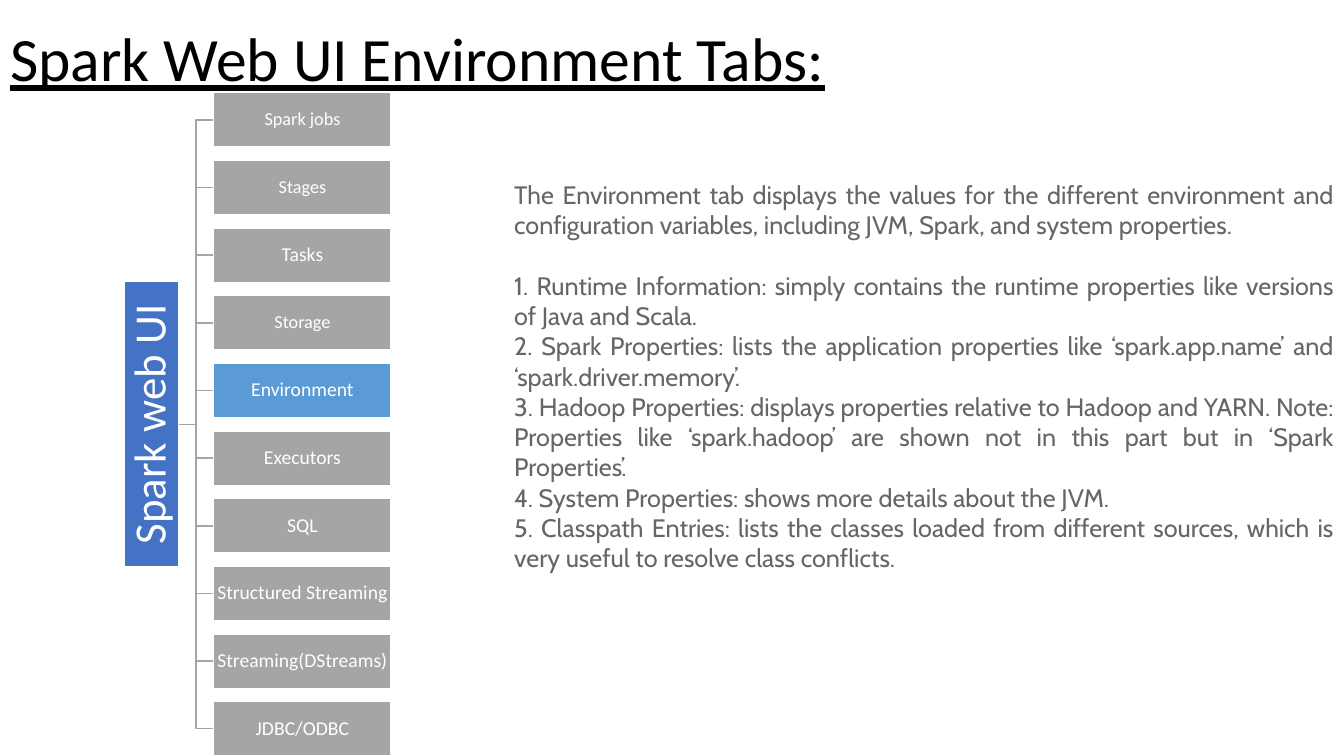
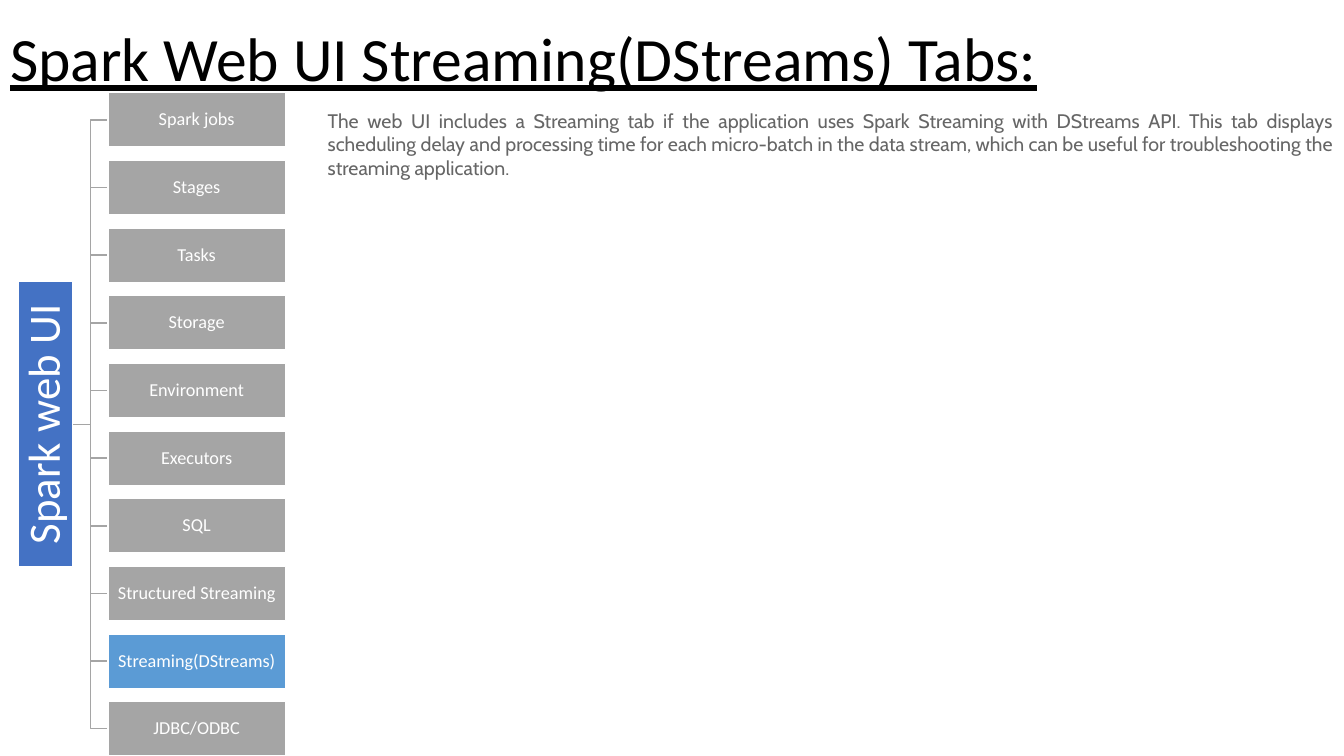
from lxml import etree
from pptx import Presentation
from pptx.dml.color import RGBColor
from pptx.enum.shapes import MSO_CONNECTOR as CONNECTOR, MSO_SHAPE as SHAPE
from pptx.enum.text import MSO_ANCHOR as ANCHOR, MSO_AUTO_SIZE as AUTO_SIZE, PP_ALIGN as ALIGN
from pptx.oxml.ns import qn
from pptx.util import Inches, Pt

# Shared colours and fonts
ROOT_BLUE, TAB_GREY, ACTIVE_BLUE = "4472C4", "A5A5A5", "5B9BD5"
WHITE, BLACK, TEXT_GREY = "FFFFFF", "000000", "666666"
HEADING_FONT, BODY_FONT = "Calibri", "Cabin"

# Shared geometry, in inches
SLIDE_W, SLIDE_H = 13.33, 7.5
TABS = ["Spark jobs", "Stages", "Tasks", "Storage", "Environment", "Executors",
        "SQL", "Structured Streaming", "Streaming(DStreams)", "JDBC/ODBC"]
TAB_W, TAB_H, TAB_TOP = 1.76, 0.54, 0.92
TAB_STEP = (SLIDE_H - TAB_H - TAB_TOP) / (len(TABS) - 1)
ROOT_LENGTH, BRANCH_W = 2.83, 0.35
TREE_MIDDLE = (TAB_TOP + SLIDE_H) / 2

SLIDES = [
    {
        "title": "Spark Web UI Environment Tabs:",
        "active": "Environment",
        "tab_left": 2.12,
        "tab_size": 14,
        "small_tabs": ["Spark jobs", "Stages", "Storage"],
        "body_at": (5, 1.73, 8.33, 5.77),
        "body_size": 18,
        "body": [
            "The Environment tab displays the values for the different environment and configuration variables, including JVM, Spark, and system properties.",
            "1. Runtime Information: simply contains the runtime properties like versions of Java and Scala.",
            "2. Spark Properties: lists the application properties like ‘spark.app.name’ and ‘spark.driver.memory’.",
            "3. Hadoop Properties: displays properties relative to Hadoop and YARN. Note: Properties like ‘spark.hadoop’ are shown not in this part but in ‘Spark Properties’.",
            "4. System Properties: shows more details about the JVM.",
            "5. Classpath Entries: lists the classes loaded from different sources, which is very useful to resolve class conflicts.",
        ],
    },
    {
        "title": "Spark Web UI Streaming(DStreams) Tabs:",
        "active": "Streaming(DStreams)",
        "tab_left": 1.07,
        "tab_size": 13,
        "small_tabs": [],
        "body_at": (3.15, 1.03, 10.18, 1.04),
        "body_size": 14,
        "body": [
            "The web UI includes a Streaming tab if the application uses Spark Streaming with DStreams API. This tab displays scheduling delay and processing time for each micro-batch in the data stream, which can be useful for troubleshooting the streaming application.",
        ],
    },
]


def rgb(hex_colour):
    return RGBColor.from_string(hex_colour)


def add_box(slide, label, at, fill, size):
    box = slide.shapes.add_shape(SHAPE.RECTANGLE, *map(Inches, at))
    box.shadow.inherit = False
    box.fill.solid()
    box.fill.fore_color.rgb = rgb(fill)
    box.line.color.rgb = rgb(WHITE)
    box.line.width = Pt(1)
    frame = box.text_frame
    frame.margin_left = frame.margin_right = Inches(0.01)
    frame.margin_top = frame.margin_bottom = Inches(0.01)
    frame.vertical_anchor = ANCHOR.MIDDLE
    frame.word_wrap = True
    caption = frame.paragraphs[0]
    caption.text = label
    caption.alignment = ALIGN.CENTER
    caption.line_spacing = 0.9
    caption.font.name = HEADING_FONT
    caption.font.size = Pt(size)
    caption.font.color.rgb = rgb(WHITE)
    return box


prs = Presentation()
prs.slide_width, prs.slide_height = Inches(SLIDE_W), Inches(SLIDE_H)

for content in SLIDES:
    slide = prs.slides.add_slide(prs.slide_layouts[1])
    title, body = slide.placeholders

    # Title
    title.left, title.top, title.width, title.height = map(Inches, (0, 0, SLIDE_W, 1.23))
    title.text_frame.auto_size = AUTO_SIZE.NONE
    title.text_frame.vertical_anchor = ANCHOR.MIDDLE
    heading = title.text_frame.paragraphs[0]
    heading.text = content["title"]
    heading.alignment = ALIGN.JUSTIFY
    heading.line_spacing = 0.9
    heading.font.name = HEADING_FONT
    heading.font.size = Pt(44)
    heading.font.underline = True
    heading.font.color.rgb = rgb(BLACK)

    # Explanation, with one line of space between introduction and list
    body.left, body.top, body.width, body.height = map(Inches, content["body_at"])
    body.text_frame.auto_size = AUTO_SIZE.NONE
    body.text_frame.text = "\n".join(content["body"])
    for index, paragraph in enumerate(body.text_frame.paragraphs):
        properties = paragraph._p.get_or_add_pPr()
        properties.set("marL", "0")
        properties.set("indent", "0")
        etree.SubElement(properties, qn("a:buNone"))
        paragraph.alignment = ALIGN.JUSTIFY
        paragraph.space_before = Pt(1.2 * content["body_size"] if index == 1 else 0)
        paragraph.font.name = BODY_FONT
        paragraph.font.size = Pt(content["body_size"])
        paragraph.font.color.rgb = rgb(TEXT_GREY)

    # Branches from the root to each tab
    tab_left = content["tab_left"]
    root_right = tab_left - BRANCH_W
    tab_tops = [TAB_TOP + index * TAB_STEP for index in range(len(TABS))]
    for tab_top in tab_tops:
        branch = slide.shapes.add_connector(
            CONNECTOR.ELBOW, Inches(root_right), Inches(TREE_MIDDLE),
            Inches(tab_left), Inches(tab_top + TAB_H / 2))
        branch.line.color.rgb = rgb(TAB_GREY)
        branch.line.width = Pt(1)
        etree.SubElement(branch._element.spPr, qn("a:effectLst"))

    # Root, turned to read upwards
    root_left = root_right - (TAB_H + ROOT_LENGTH) / 2
    root = add_box(slide, "Spark web UI",
                   (root_left, TREE_MIDDLE - TAB_H / 2, ROOT_LENGTH, TAB_H), ROOT_BLUE, 32)
    root.rotation = 270

    # Tabs, with the current one highlighted
    for tab, tab_top in zip(TABS, tab_tops):
        fill = ACTIVE_BLUE if tab == content["active"] else TAB_GREY
        size = 13 if tab in content["small_tabs"] else content["tab_size"]
        add_box(slide, tab, (tab_left, tab_top, TAB_W, TAB_H), fill, size)

prs.save("out.pptx")
